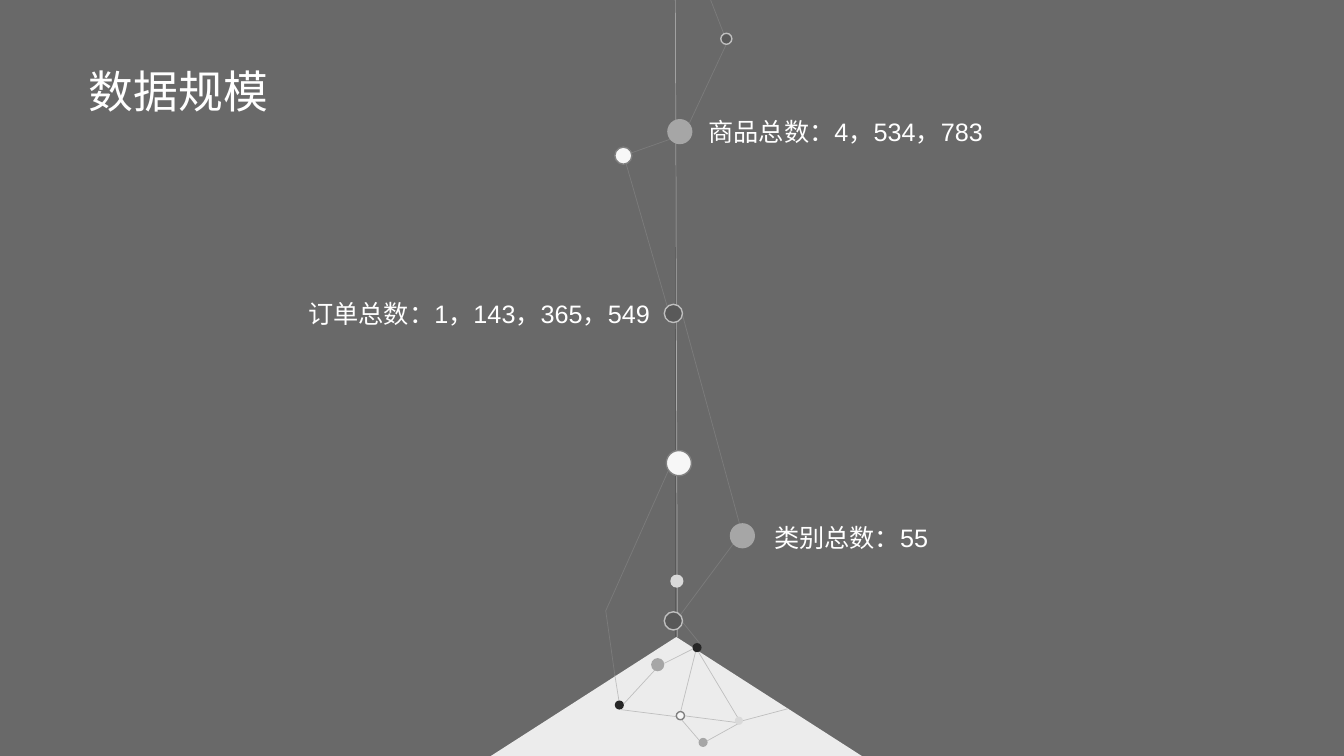
import pptx
import pptx.util
import pptx.dml.color
import pptx.enum.shapes
import pptx.enum.text
from lxml import etree
from pptx.oxml.ns import qn

Pt = pptx.util.Pt
SHAPES = pptx.enum.shapes.MSO_SHAPE


def color(value):
    return pptx.dml.color.RGBColor.from_string(value)


def apply_format(target, values):
    for name, value in values.items():
        setattr(target, name, value)


class SlideBuilder:
    font = {"name": "Arial", "color": "FFFFFF"}
    frame = {
        "word_wrap": True,
        "auto_size": pptx.enum.text.MSO_AUTO_SIZE.SHAPE_TO_FIT_TEXT,
        "vertical_anchor": pptx.enum.text.MSO_ANCHOR.TOP,
        "margin_left": Pt(7.2), "margin_right": Pt(7.2),
        "margin_top": Pt(3.6), "margin_bottom": Pt(3.6),
    }

    def __init__(self, slide, background):
        self.slide = slide
        slide.background.fill.solid()
        slide.background.fill.fore_color.rgb = color(background)

    def line(self, start, end, stroke, width=0.5, opacity=100):
        connector = self.slide.shapes.add_connector(
            pptx.enum.shapes.MSO_CONNECTOR.STRAIGHT,
            *[Pt(value) for value in (*start, *end)])
        connector.line.width = Pt(width)
        connector.line.color.rgb = color(stroke)
        properties = connector._element.spPr
        if opacity < 100:
            fill = next(properties.iter(qn("a:srgbClr")))
            etree.SubElement(fill, qn("a:alpha")).set("val", str(opacity * 1000))
        etree.SubElement(properties, qn("a:effectLst"))

    def shape(self, kind, left, top, width, height, fill, stroke=None):
        shape = self.slide.shapes.add_shape(
            kind, Pt(left), Pt(top), Pt(width), Pt(height))
        shape.shadow.inherit = False
        shape.fill.solid()
        shape.fill.fore_color.rgb = color(fill)
        if stroke:
            shape.line.width = Pt(1)
            shape.line.color.rgb = color(stroke)
        else:
            shape.line.fill.background()

    def dot(self, x, y, diameter, fill, stroke=None):
        self.shape(SHAPES.OVAL, x - diameter / 2, y - diameter / 2,
                   diameter, diameter, fill, stroke)

    def place_text(self, shape, text, size, left, top, width, height):
        apply_format(shape, {"left": Pt(left), "top": Pt(top),
                             "width": Pt(width), "height": Pt(height)})
        apply_format(shape.text_frame, self.frame)
        paragraph = shape.text_frame.paragraphs[0]
        apply_format(paragraph, {"alignment": pptx.enum.text.PP_ALIGN.LEFT,
                                 "line_spacing": 1.0, "space_before": Pt(0)})
        run = paragraph.add_run()
        run.text = text
        apply_format(run.font, {"name": self.font["name"], "size": Pt(size)})
        run.font.color.rgb = color(self.font["color"])

    def title(self, text, *box):
        self.place_text(self.slide.shapes.title, text, 32, *box)

    def label(self, text, *box):
        shape = self.slide.shapes.add_textbox(0, 0, 0, 0)
        self.place_text(shape, text, 18, *box)


presentation = pptx.Presentation()
apply_format(presentation, {"slide_width": Pt(960), "slide_height": Pt(540)})
title_only = presentation.slide_layouts[5]
builder = SlideBuilder(presentation.slides.add_slide(title_only), "696969")

# Central axis and the peak at its foot
builder.line((482.4, 0), (482.4, 540), "595959", width=1)
builder.shape(SHAPES.ISOSCELES_TRIANGLE, 350.6, 455, 265, 85, "ECECEC")
builder.line((482.4, 0), (483.8, 455), "FFFFFF", opacity=43)

# Faint links above the peak, solid links on it
LINKS = {
    21: [
        ((507.6, 0), (519.1, 29.5)),
        ((492.5, 87.8), (519.1, 31)),
        ((478.8, 99.4), (444.2, 111.6)),
        ((476.6, 218.9), (445.7, 111.6)),
        ((528.5, 375.1), (487.4, 224.6)),
        ((486, 439.2), (532.1, 377.3)),
        ((432.7, 436.3), (477.4, 336.2)),
        ((439.2, 482.4), (432.7, 436.3)),
        ((499.7, 459.4), (487.4, 444.2)),
    ],
    100: [
        ((474.5, 473.8), (494.6, 463.7)),
        ((470.9, 475.2), (445.7, 502.6)),
        ((442.1, 500.4), (439.2, 482.4)),
        ((483.8, 510.5), (500.4, 529.9)),
        ((496.8, 465.8), (485.3, 511.9)),
        ((529.9, 515.5), (502.6, 530.6)),
        ((488.2, 511.2), (527, 516.2)),
        ((527, 512.6), (499, 465.8)),
        ((563, 506.2), (530.6, 514.8)),
        ((443.5, 506.9), (483.1, 511.9)),
    ],
}
for opacity, links in LINKS.items():
    for start, end in links:
        builder.line(start, end, "BFBFBF", opacity=opacity)

# Dots by fill and outline: centre x, centre y, diameter
DOTS = {
    ("595959", "BFBFBF"): [(481, 223.9, 13), (481, 443.5, 13), (518.8, 27.7, 7.9)],
    ("A6A6A6", None): [(485.6, 94, 18), (530.3, 382.7, 18),
                       (469.8, 474.8, 9.4), (502.2, 530.3, 6.5)],
    ("F7F7F7", "808080"): [(484.9, 330.8, 18), (445.3, 111.2, 12.2), (486, 511.2, 5.8)],
    ("262626", None): [(442.4, 503.6, 6.5), (497.9, 462.6, 6.5)],
    ("D9D9D9", None): [(527.8, 514.8, 5.8), (483.5, 415.1, 9.4)],
}
for (fill, stroke), dots in DOTS.items():
    for x, y, diameter in dots:
        builder.dot(x, y, diameter, fill, stroke)

# Title and totals
builder.title("数据规模", 56.2, 41.8, 234.7, 46.1)
builder.label("商品总数：4，534，783", 499, 79.9, 234.7, 28.8)
builder.label("类别总数：55", 545.8, 369.4, 188.6, 28.8)
builder.label("订单总数：1，143，365，549", 213.1, 209.5, 277.2, 28.8)

presentation.save("out.pptx")
